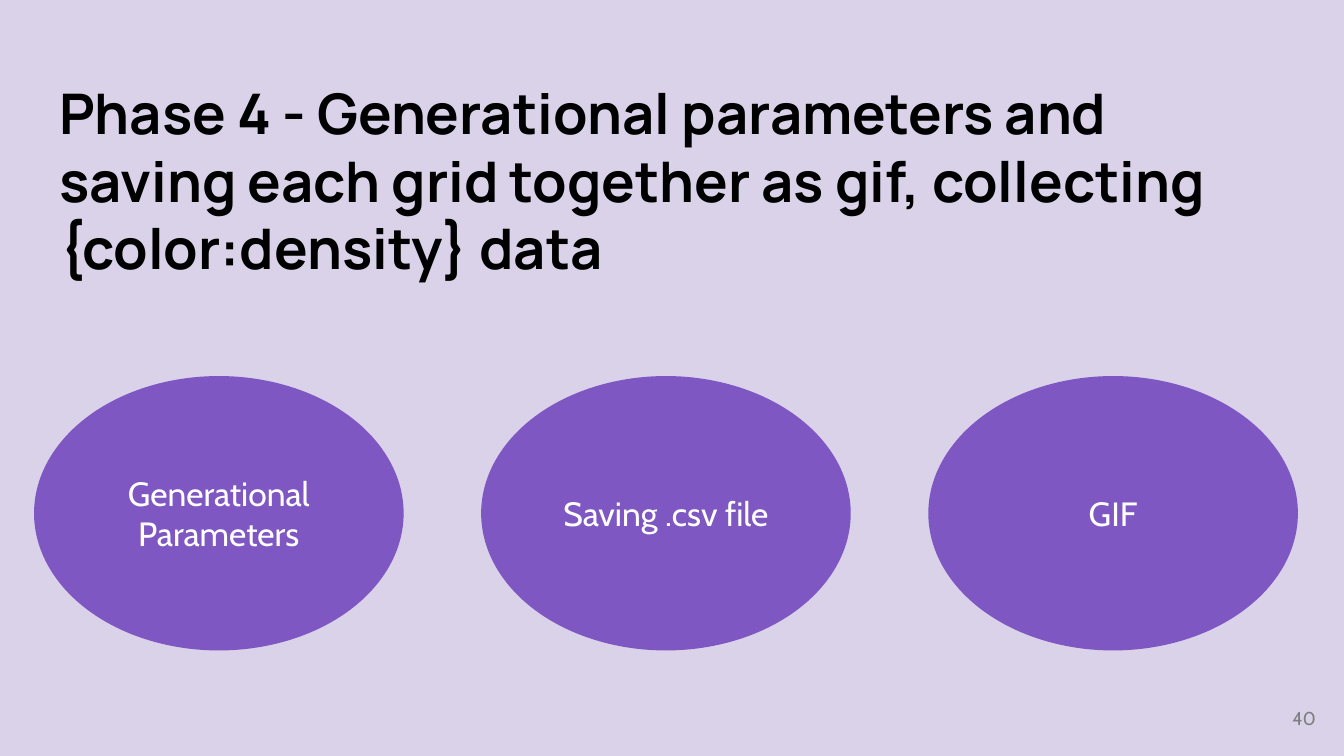
from dataclasses import dataclass

from pptx import Presentation
from pptx import util as u
from pptx.dml.color import RGBColor
from pptx.enum import shapes, text

LILAC = RGBColor(0xD9, 0xD2, 0xE9)
PURPLE = RGBColor(0x7E, 0x57, 0xC2)
WHITE = RGBColor(0xFF, 0xFF, 0xFF)
BLACK = RGBColor(0, 0, 0)
GREY = RGBColor(0x7F, 0x7F, 0x7F)
WIDE, HIGH = u.Pt(720), u.Pt(405)
LEFT, PITCH = 2.53, 33.27


@dataclass
class Box:
    x: float
    y: float
    w: float
    h: float

    def place(self) -> tuple[int, int, int, int]:
        return (int(self.x * WIDE / 100), int(self.y * HIGH / 100),
                int(self.w * WIDE / 100), int(self.h * HIGH / 100))


@dataclass
class Step:
    col: int
    label: str


STEPS = [
    Step(0, "Generational Parameters"),
    Step(1, "Saving .csv file"),
    Step(2, "GIF"),
]


def write(shape, words: str, *, size: float, color: RGBColor,
          font: str = "Cabin", bold: bool = False,
          align=text.PP_ALIGN.CENTER,
          anchor=text.MSO_ANCHOR.MIDDLE) -> None:
    frame = shape.text_frame
    frame.word_wrap = True
    frame.auto_size = text.MSO_AUTO_SIZE.NONE
    frame.vertical_anchor = anchor
    frame.margin_left = frame.margin_right = u.Inches(0.1)
    frame.margin_top = frame.margin_bottom = u.Inches(0.1)
    para = frame.paragraphs[0]
    para.alignment = align
    run = para.add_run()
    run.text = words
    run.font.name = font
    run.font.size = u.Pt(size)
    run.font.bold = bold
    run.font.color.rgb = color


def draw(slide, step: Step) -> None:
    box = Box(LEFT + step.col * PITCH, 49.75, 27.5, 36.3)
    oval = slide.shapes.add_shape(shapes.MSO_SHAPE.OVAL, *box.place())
    oval.shadow.inherit = False
    oval.fill.solid()
    oval.fill.fore_color.rgb = PURPLE
    oval.line.fill.background()
    write(oval, step.label, size=18, color=WHITE)


def main() -> None:
    deck = Presentation()
    deck.slide_width, deck.slide_height = WIDE, HIGH
    slide = deck.slides.add_slide(deck.slide_layouts[5])
    slide.background.fill.solid()
    slide.background.fill.fore_color.rgb = LILAC

    title = slide.shapes.title
    title.left, title.top, title.width, title.height = Box(
        3.41, 8.65, 93.18, 12.1).place()
    write(title, "Phase 4 - Generational parameters and saving each grid "
          "together as gif, collecting {color:density} data",
          size=30, color=BLACK, font="Manrope", bold=True,
          align=text.PP_ALIGN.LEFT, anchor=text.MSO_ANCHOR.TOP)

    for step in STEPS:
        draw(slide, step)

    page = slide.shapes.add_textbox(*Box(92.9, 91.2, 6, 7.65).place())
    write(page, "40", size=10, color=GREY, align=text.PP_ALIGN.RIGHT)
    deck.save("out.pptx")


if __name__ == "__main__":
    main()
